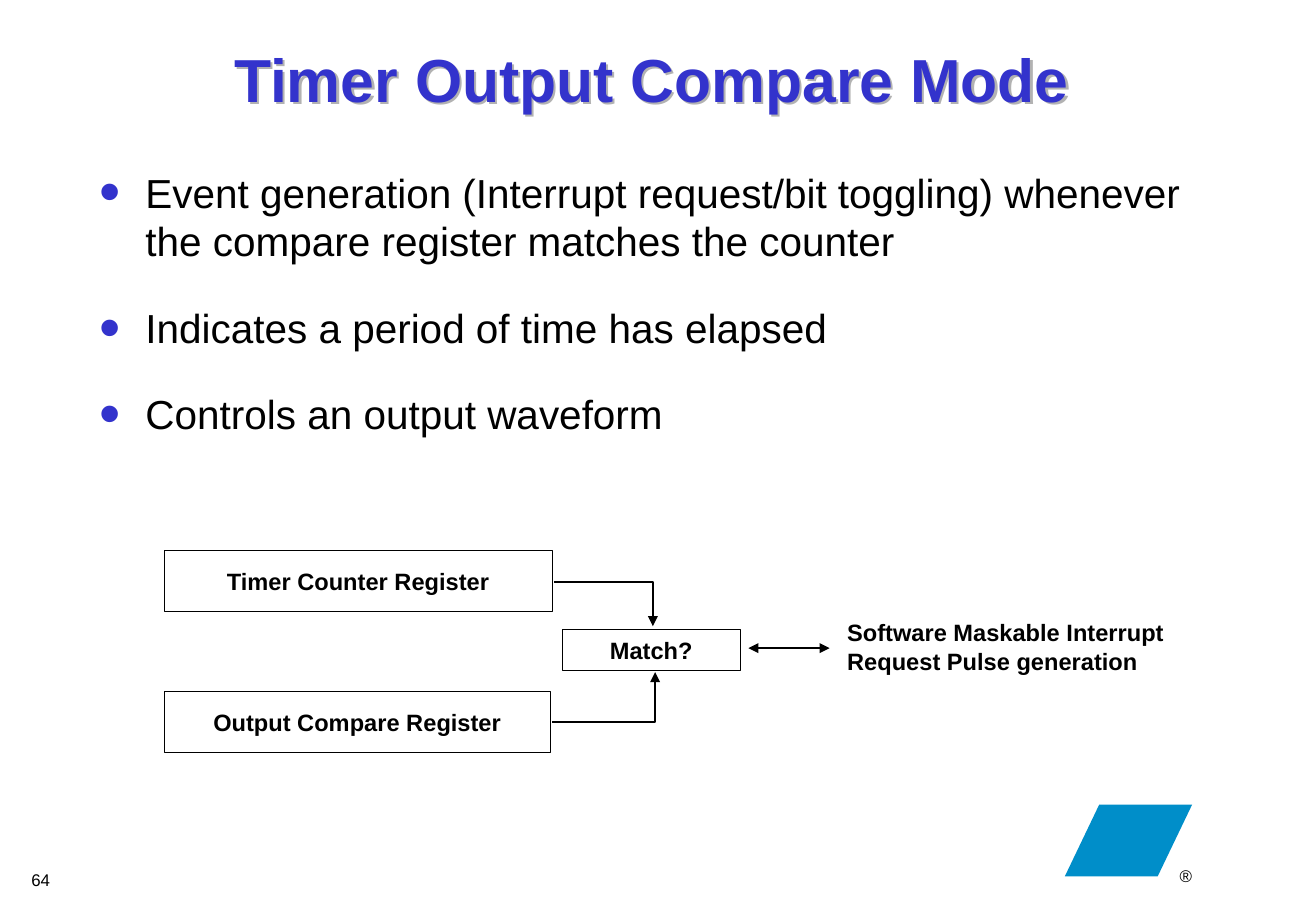
import pptx
import pptx.dml.color
import pptx.enum.shapes
import pptx.enum.text
import pptx.oxml
import pptx.oxml.ns
import pptx.util
from lxml import etree

Pt = pptx.util.Pt
Align = pptx.enum.text.PP_ALIGN
Anchor = pptx.enum.text.MSO_ANCHOR
Preset = pptx.enum.shapes.MSO_SHAPE
qn = pptx.oxml.ns.qn

COLORS = {"black": "000000", "white": "FFFFFF", "accent": "3333CC", "emblem": "008EC9", "shadow": "B2B2B2"}
FONT = "Arial"
DRAWING = 'xmlns:a="http://schemas.openxmlformats.org/drawingml/2006/main"'


def color(name):
    return pptx.dml.color.RGBColor.from_string(COLORS[name])


def add_bullet(paragraph, hanging):
    properties = paragraph._p.get_or_add_pPr()
    properties.set("marL", str(Pt(hanging)))
    properties.set("indent", str(-Pt(hanging)))
    for xml in (
        f'<a:buClr {DRAWING}><a:srgbClr val="{COLORS["accent"]}"/></a:buClr>',
        f'<a:buSzPct {DRAWING} val="150000"/>',
        f'<a:buFont {DRAWING} typeface="{FONT}"/>',
        f'<a:buChar {DRAWING} char="•"/>',
    ):
        properties.append(pptx.oxml.parse_xml(xml))


def add_shadow(shape):
    """Cast a shadow; a shape without fill casts that of its text."""
    shape._element.spPr.append(pptx.oxml.parse_xml(
        f'<a:effectLst {DRAWING}><a:outerShdw dist="{Pt(1.8)}" dir="2700000" algn="ctr" rotWithShape="0">'
        f'<a:srgbClr val="{COLORS["shadow"]}"/></a:outerShdw></a:effectLst>'
    ))


def write_text(shape, text, size=14, bold=False, fill="black", align=Align.LEFT, anchor=Anchor.TOP,
               margins=(0, 0), bullet_indent=0, before=0, after=0):
    """Fill the shape, one paragraph a line; margins are horizontal and vertical."""
    frame = shape.text_frame
    frame.word_wrap = True
    frame.vertical_anchor = anchor
    frame.margin_left = frame.margin_right = Pt(margins[0])
    frame.margin_top = frame.margin_bottom = Pt(margins[1])
    for index, line in enumerate(text.split("\n")):
        paragraph = frame.add_paragraph() if index else frame.paragraphs[0]
        paragraph.alignment = align
        paragraph.space_before = Pt(before if index else 0)
        paragraph.space_after = Pt(after)
        if bullet_indent:
            add_bullet(paragraph, bullet_indent)
        run = paragraph.add_run()
        run.text = line
        run.font.name = FONT
        run.font.size = Pt(size)
        run.font.bold = bold
        run.font.color.rgb = color(fill)


class TimerSlide:
    """Holds the line style and the slide being built."""

    border_width = 0.25
    arrow_width = 1.5
    padding = (7.2, 3.6)

    def __init__(self, presentation):
        self.slide = presentation.slides.add_slide(presentation.slide_layouts[6])
        self.shapes = self.slide.shapes

    def text(self, left, top, width, height, text, **style):
        shape = self.shapes.add_textbox(Pt(left), Pt(top), Pt(width), Pt(height))
        write_text(shape, text, **style)
        return shape

    def block(self, left, top, width, height, fill, preset=Preset.RECTANGLE):
        shape = self.shapes.add_shape(preset, Pt(left), Pt(top), Pt(width), Pt(height))
        shape.shadow.inherit = False
        shape.fill.solid()
        shape.fill.fore_color.rgb = color(fill)
        shape.line.fill.background()
        return shape

    def register(self, left, top, width, height, label):
        """Add a bordered, half transparent box with a centred label."""
        shape = self.block(left, top, width, height, "white")
        fill = shape._element.spPr.find(qn("a:solidFill"))
        etree.SubElement(fill[0], qn("a:alpha"), val="50000")
        self.stroke(shape, self.border_width)
        write_text(shape, label, bold=True, align=Align.CENTER, anchor=Anchor.MIDDLE)

    def stroke(self, shape, width, arrowheads=()):
        shape.line.color.rgb = color("black")
        shape.line.width = Pt(width)
        for end in arrowheads:
            etree.SubElement(shape.line._get_or_add_ln(), qn(f"a:{end}"), type="triangle")

    def elbow_arrow(self, start, tip):
        """Run level from start, then turn upright to the tip."""
        builder = self.shapes.build_freeform(Pt(start[0]), Pt(start[1]))
        corner = (tip[0], start[1])
        builder.add_line_segments([(Pt(x), Pt(y)) for x, y in (corner, tip)], close=False)
        shape = builder.convert_to_shape()
        shape.shadow.inherit = False
        shape.fill.background()
        self.stroke(shape, self.arrow_width, ["tailEnd"])

    def double_arrow(self, left, right, y):
        connector = self.shapes.add_connector(
            pptx.enum.shapes.MSO_CONNECTOR.STRAIGHT, Pt(left), Pt(y), Pt(right), Pt(y))
        self.stroke(connector, self.arrow_width, ["headEnd", "tailEnd"])
        etree.SubElement(connector._element.spPr, qn("a:effectLst"))


def main():
    presentation = pptx.Presentation()
    presentation.slide_width = Pt(780.48)
    presentation.slide_height = Pt(540)
    page = TimerSlide(presentation)

    emblem = page.block(631.5, 477, 75.5, 42.5, "emblem", Preset.PARALLELOGRAM)
    emblem.adjustments[0] = 0.48
    page.text(692.6, 509.8, 22, 19.5, "®", size=10, margins=page.padding)

    title = page.text(51.8, 7.4, 669.6, 78, "Timer Output Compare Mode", size=36, bold=True, fill="accent",
                      align=Align.CENTER, anchor=Anchor.MIDDLE, margins=page.padding)
    add_shadow(title)
    page.text(52, 95.8, 669.6, 189.4,
              "Event generation (Interrupt request/bit toggling) whenever the compare register matches the counter\n"
              "Indicates a period of time has elapsed\n"
              "Controls an output waveform",
              size=24, margins=page.padding, bullet_indent=27.2, before=18, after=4.5)

    page.register(97.2, 326.4, 230.4, 36, "Timer Counter Register")
    page.register(97.2, 409.7, 229.4, 36.2, "Output Compare Register")
    page.elbow_arrow((328.6, 344.9), (387.2, 371.2))
    page.elbow_arrow((327.6, 427.9), (388.6, 398.4))
    page.register(333.4, 373, 105.8, 24.5, "Match?")
    page.double_arrow(443.8, 492, 384.2)
    page.text(502.4, 366.5, 214.5, 37.5, "Software Maskable Interrupt\nRequest Pulse generation", bold=True)
    page.text(11.5, 512.2, 37.5, 19.5, "64", size=10, margins=page.padding)

    presentation.save("out.pptx")


if __name__ == "__main__":
    main()
